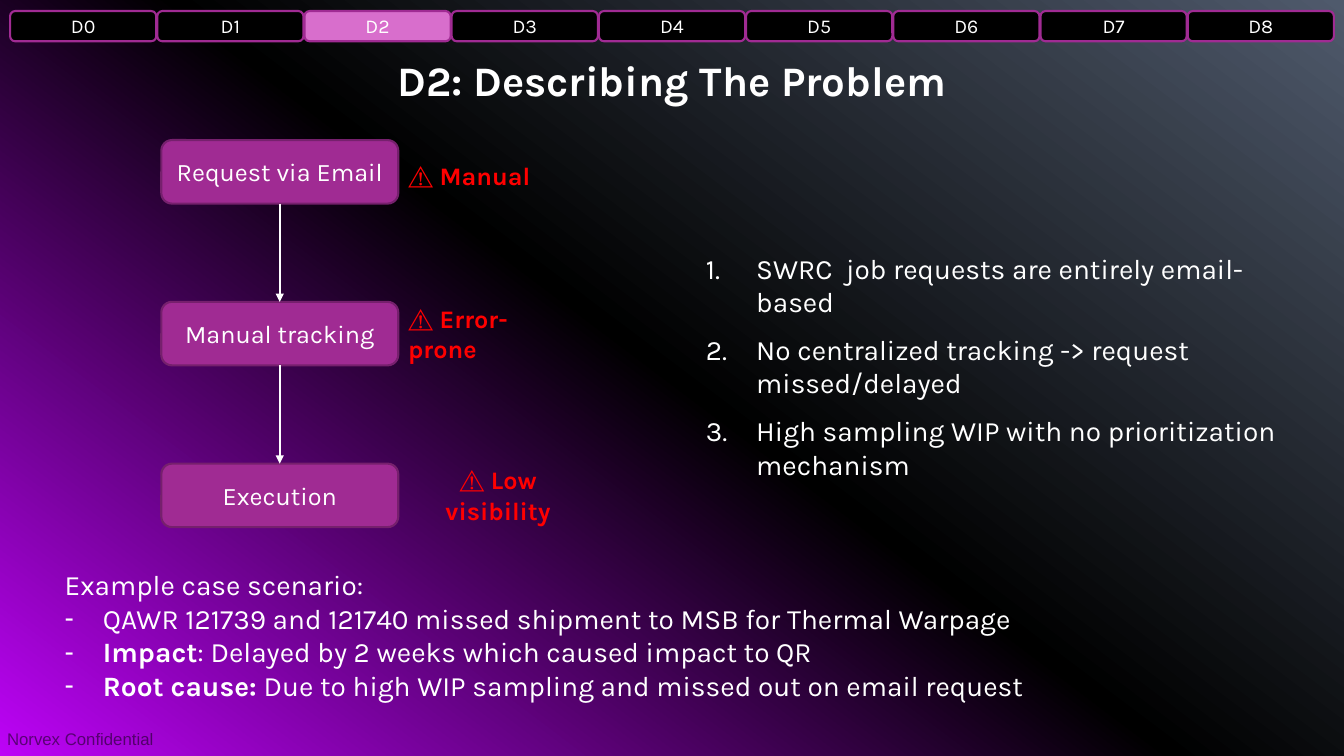
from pptx import Presentation
from pptx.dml.color import RGBColor
from pptx.enum.shapes import MSO_CONNECTOR as Connector, MSO_SHAPE as Shape
from pptx.enum.text import MSO_ANCHOR as Anchor, MSO_AUTO_SIZE as AutoSize, PP_ALIGN as Align
from pptx.oxml.ns import qn
from pptx.oxml.xmlchemy import OxmlElement
from pptx.util import Inches, Pt

WHITE, BLACK, RED = "FFFFFF", "000000", "FF0000"
PLUM, DARK_PLUM, PINK = "A02B93", "76206D", "D86ECC"


def color(code):
    return RGBColor.from_string(code)


def assign(target, values):
    for name, value in values.items():
        setattr(target, name, value)


def add_xml(parent, tag, **attributes):
    child = OxmlElement(tag)
    for name, value in attributes.items():
        child.set(name, str(value))
    parent.append(child)
    return child


class SlideBuilder:
    font = "Karla"
    line_width = Pt(1.5)

    def __init__(self, page):
        self.page = page

    def background(self, stops, angle):
        """Angle runs counter-clockwise, in degrees; stops are (percent, colour)."""
        fill = self.page.background.fill
        fill.gradient()
        fill.gradient_angle = angle
        stop_list = self.page._element.find(".//" + qn("a:gsLst"))
        for stop in list(stop_list):
            stop_list.remove(stop)
        for percent, code in stops:
            stop = add_xml(stop_list, "a:gs", pos=percent * 1000)
            add_xml(stop, "a:srgbClr", val=code)

    def fill_para(self, para, spans, size, code=WHITE, bold=False, font=None, **layout):
        """Spans are one string or a list of (text, bold) pairs."""
        assign(para, layout)
        for text, strong in [(spans, bold)] if isinstance(spans, str) else spans:
            span = para.add_run()
            span.text = text
            assign(span.font, {"name": font or self.font, "size": Pt(size), "bold": strong})
            span.font.color.rgb = color(code)

    def bullet(self, para, indent, tag, **attributes):
        properties = para._p.get_or_add_pPr()
        properties.set("marL", str(Inches(indent)))
        properties.set("indent", str(-Inches(indent)))
        add_xml(properties, tag, **attributes)

    def placeholder(self, index, left, top, width, height, anchor):
        holder = self.page.placeholders[index]
        assign(holder, {"left": Inches(left), "top": Inches(top),
                        "width": Inches(width), "height": Inches(height)})
        assign(holder.text_frame, {"word_wrap": True, "auto_size": AutoSize.NONE,
                                   "vertical_anchor": anchor})
        return holder.text_frame

    def title(self, text, *place):
        frame = self.placeholder(0, *place, Anchor.BOTTOM)
        self.fill_para(frame.paragraphs[0], text, 30, bold=True,
                       alignment=Align.CENTER, line_spacing=0.9)

    def body(self, index, items, *place, before=0):
        """Items are (spans, indent, bullet tag, bullet attributes)."""
        frame = self.placeholder(index, *place, Anchor.TOP)
        for number, (spans, indent, tag, attributes) in enumerate(items):
            para = frame.add_paragraph() if number else frame.paragraphs[0]
            self.fill_para(para, spans, 20, space_before=Pt(before), line_spacing=1.0)
            self.bullet(para, indent, tag, **attributes)

    def box(self, text, left, top, width, height, size, fill, line):
        box = self.page.shapes.add_shape(
            Shape.ROUNDED_RECTANGLE, *map(Inches, (left, top, width, height)))
        box.shadow.inherit = False
        box.fill.solid()
        box.fill.fore_color.rgb = color(fill)
        box.line.color.rgb = color(line)
        box.line.width = self.line_width
        box.text_frame.vertical_anchor = Anchor.MIDDLE
        self.fill_para(box.text_frame.paragraphs[0], text, size, alignment=Align.CENTER)

    def label(self, text, left, top, width, height, align):
        label = self.page.shapes.add_textbox(*map(Inches, (left, top, width, height)))
        assign(label.text_frame, {"word_wrap": True, "vertical_anchor": Anchor.MIDDLE})
        self.fill_para(label.text_frame.paragraphs[0], text, 18, RED, True, alignment=align)

    def arrow(self, x, top, bottom):
        arrow = self.page.shapes.add_connector(
            Connector.STRAIGHT, *map(Inches, (x, top, x, bottom)))
        arrow.line.color.rgb = color(WHITE)
        arrow.line.width = self.line_width
        add_xml(arrow.line._get_or_add_ln(), "a:tailEnd", type="triangle")
        add_xml(arrow._element.spPr, "a:effectLst")

    def footer(self, text, left, top, width, height):
        footer = self.page.shapes.add_textbox(*map(Inches, (left, top, width, height)))
        assign(footer.text_frame, dict.fromkeys(
            ("margin_left", "margin_top", "margin_right", "margin_bottom"), 0))
        self.fill_para(footer.text_frame.paragraphs[0], text, 12, BLACK, font="Arial")
        add_xml(footer._element.find(".//" + qn("a:srgbClr")), "a:alpha", val=50000)


def main():
    deck = Presentation()
    deck.slide_width, deck.slide_height = Inches(13.33), Inches(7.5)
    slide = SlideBuilder(deck.slides.add_slide(deck.slide_layouts[3]))
    slide.background([(0, "BD03F7"), (50, BLACK), (100, "4F5A6C")], 53)
    slide.footer("Norvex Confidential", 0.07, 7.23, 1.47, 0.2)

    for number in range(9):
        slide.box(f"D{number}", 0.1 + 1.46 * number, 0.11, 1.45, 0.3, 14,
                  PINK if number == 2 else BLACK, PLUM)

    slide.title("D2: Describing The Problem", 0, 0.56, 13.33, 0.54)

    problems = ["SWRC  job requests are entirely email-based",
                "No centralized tracking -> request missed/delayed",
                "High sampling WIP with no prioritization mechanism"]
    slide.body(2, [(text, 0.5, "a:buAutoNum", {"type": "arabicPeriod"}) for text in problems],
               6.9, 2.44, 5.89, 2.22, before=10)

    left, top, width, height, pitch = 1.6, 1.39, 2.35, 0.63, 1.605
    steps = [("Request via Email", "⚠️ Manual", 1.51, 1.73, Align.LEFT),
             ("Manual tracking", "⚠️ Error-prone", 3.08, 1.84, Align.LEFT),
             ("Execution", "⚠️ Low visibility", 4.68, 1.98, Align.CENTER)]
    for row, (step, warning, label_top, label_width, align) in enumerate(steps):
        step_top = top + pitch * row
        slide.box(step, left, step_top, width, height, 18, PLUM, DARK_PLUM)
        slide.label(warning, left + width, label_top, label_width, 0.46, align)
        if row:
            slide.arrow(left + width / 2, step_top - pitch + height, step_top)

    findings = ["QAWR 121739 and 121740 missed shipment to MSB for Thermal Warpage",
                [("Impact", True), (": Delayed by 2 weeks which caused impact to QR", False)],
                [("Root cause:", True),
                 (" Due to high WIP sampling and missed out on email request", False)]]
    slide.body(1, [("Example case scenario:", 0, "a:buNone", {})]
               + [(spans, 0.38, "a:buChar", {"char": "-"}) for spans in findings],
               0.54, 5.58, 12.25, 1.49)

    deck.save("out.pptx")


if __name__ == "__main__":
    main()
